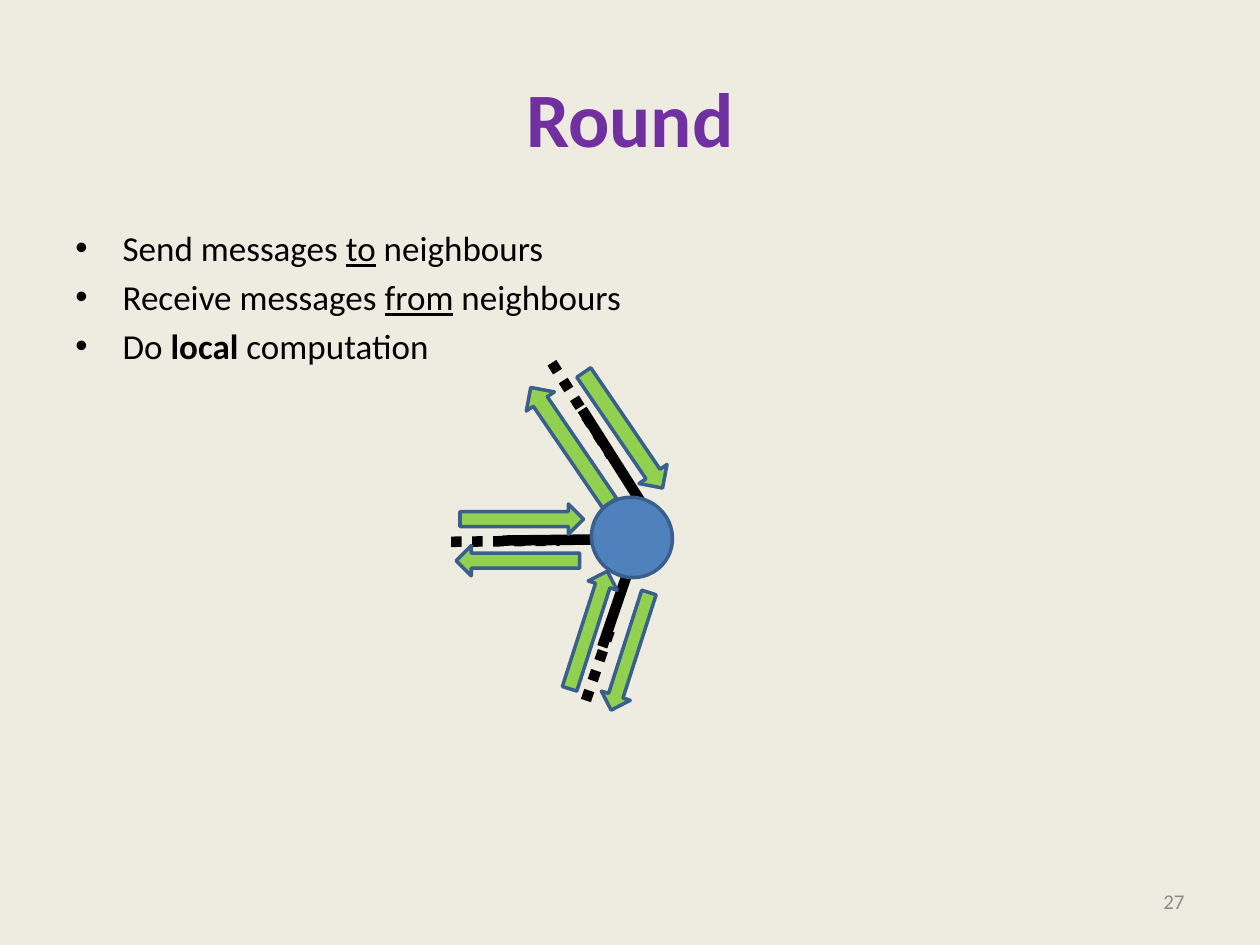
from lxml import etree
from pptx import Presentation
from pptx.dml.color import RGBColor
from pptx.enum.dml import MSO_LINE
from pptx.enum.shapes import MSO_CONNECTOR, MSO_SHAPE
from pptx.enum.text import MSO_ANCHOR, PP_ALIGN
from pptx.oxml.ns import qn
from pptx.util import Pt

DOTS = MSO_LINE.ROUND_DOT
LINE = MSO_CONNECTOR.STRAIGHT
ARROW, OVAL = MSO_SHAPE.DOWN_ARROW, MSO_SHAPE.OVAL
TOP, MID = MSO_ANCHOR.TOP, MSO_ANCHOR.MIDDLE
LEFT, MIDDLE, RIGHT = PP_ALIGN.LEFT, PP_ALIGN.CENTER, PP_ALIGN.RIGHT

FONT = "Calibri"
COLORS = {
    "back": "EEECE1", "title": "7030A0", "text": "000000", "number": "8C8C8C",
    "link": "000000", "arrow": "92D050", "node": "4F81BD", "edge": "3A5F8C",
}

# Each run is its text and style: "u" underlined, "b" bold
BULLETS = [
    [("Send messages ", ""), ("to", "u"), (" neighbours", "")],
    [("Receive messages ", ""), ("from", "u"), (" neighbours", "")],
    [("Do ", ""), ("local ", "b"), ("computation", "")],
]

# Outer end and inner end of each dotted link, then the shift to its solid part
LINKS = [
    (57.6, 1.4, 91.4, 54.7, 17.3, 26.7),
    (0, 103.7, 61.9, 103, 29.5, -0.7),
    (77, 194.4, 92.2, 149.8, 9.4, -30.7),
]

# Size and angle of each message pair, then the corners of its in and out arrows
PAIRS = [
    (19.4, 79.9, 325.7, (88.6, 0), (58.3, 8.6)),
    (17.3, 70.6, 270, (31.7, 55.4), (29.5, 79.2)),
    (17.3, 70.6, 197.8, (69.8, 118.8), (93.6, 131)),
]


def color(name):
    return RGBColor.from_string(COLORS[name])


def add_text(slide, box, rows, size, ink, align, anchor):
    frame = slide.shapes.add_textbox(*map(Pt, box)).text_frame
    frame.word_wrap = True
    frame.vertical_anchor = anchor
    for i, row in enumerate(rows):
        para = frame.paragraphs[0] if i == 0 else frame.add_paragraph()
        para.alignment = align
        for text, style in row:
            run = para.add_run()
            run.text = text
            font = run.font
            font.name, font.size = FONT, Pt(size)
            font.color.rgb = color(ink)
            font.bold = "b" in style
            font.underline = "u" in style
    return frame


def add_title(slide, box):
    add_text(slide, box, [[("Round", "b")]], 44, "title", MIDDLE, MID)


def add_list(slide, box):
    frame = add_text(slide, box, BULLETS, 20, "text", LEFT, TOP)
    for i, para in enumerate(frame.paragraphs):
        para.space_before = Pt(4 if i else 0)
        props = para._p.get_or_add_pPr()
        props.set("marL", str(Pt(27)))
        props.set("indent", str(Pt(-27)))
        etree.SubElement(props, qn("a:buFont")).set("typeface", "Arial")
        etree.SubElement(props, qn("a:buChar")).set("char", "•")


def add_number(slide, box):
    add_text(slide, box, [[("27", "")]], 12, "number", RIGHT, MID)


def add_link(slide, ends, dash=None):
    link = slide.shapes.add_connector(LINE, *map(Pt, ends))
    link.line.color.rgb = color("link")
    link.line.width = Pt(6)
    if dash:
        link.line.dash_style = dash
    etree.SubElement(link._element.spPr, qn("a:effectLst"))


def add_part(slide, kind, box, turn, fill):
    part = slide.shapes.add_shape(kind, *map(Pt, box))
    part.rotation = turn
    part.shadow.inherit = False
    part.fill.solid()
    part.fill.fore_color.rgb = color(fill)
    part.line.color.rgb = color("edge")
    part.line.width = Pt(2)


def add_graph(slide, box):
    left, top = box[:2]
    # Links: solid near the node, dotted further out
    for x1, y1, x2, y2, dx, dy in LINKS:
        ends = (left + x1, top + y1, left + x2, top + y2)
        add_link(slide, [a + b for a, b in zip(ends, (dx, dy, dx, dy))])
        add_link(slide, ends, DOTS)
    # Messages: the outgoing arrow is the incoming one turned round
    for wide, high, turn, *spots in PAIRS:
        for (x, y), angle in zip(spots, (turn, (turn + 180) % 360)):
            add_part(slide, ARROW, (left + x, top + y, wide, high), angle, "arrow")
    # Node
    add_part(slide, OVAL, (left + 79.9, top + 78.5, 46.8, 45.4), 36.3, "node")


def main():
    deck = Presentation()
    deck.slide_width, deck.slide_height = Pt(720), Pt(540)
    slide = deck.slides.add_slide(deck.slide_layouts[6])
    slide.background.fill.solid()
    slide.background.fill.fore_color.rgb = color("back")
    add_title(slide, (36, 21.6, 648, 90))
    add_list(slide, (36, 126, 648, 356.4))
    add_number(slide, (516, 500.5, 168, 28.8))
    add_graph(slide, (257.8, 205.9, 126.7, 201.6))
    deck.save("out.pptx")


if __name__ == "__main__":
    main()
